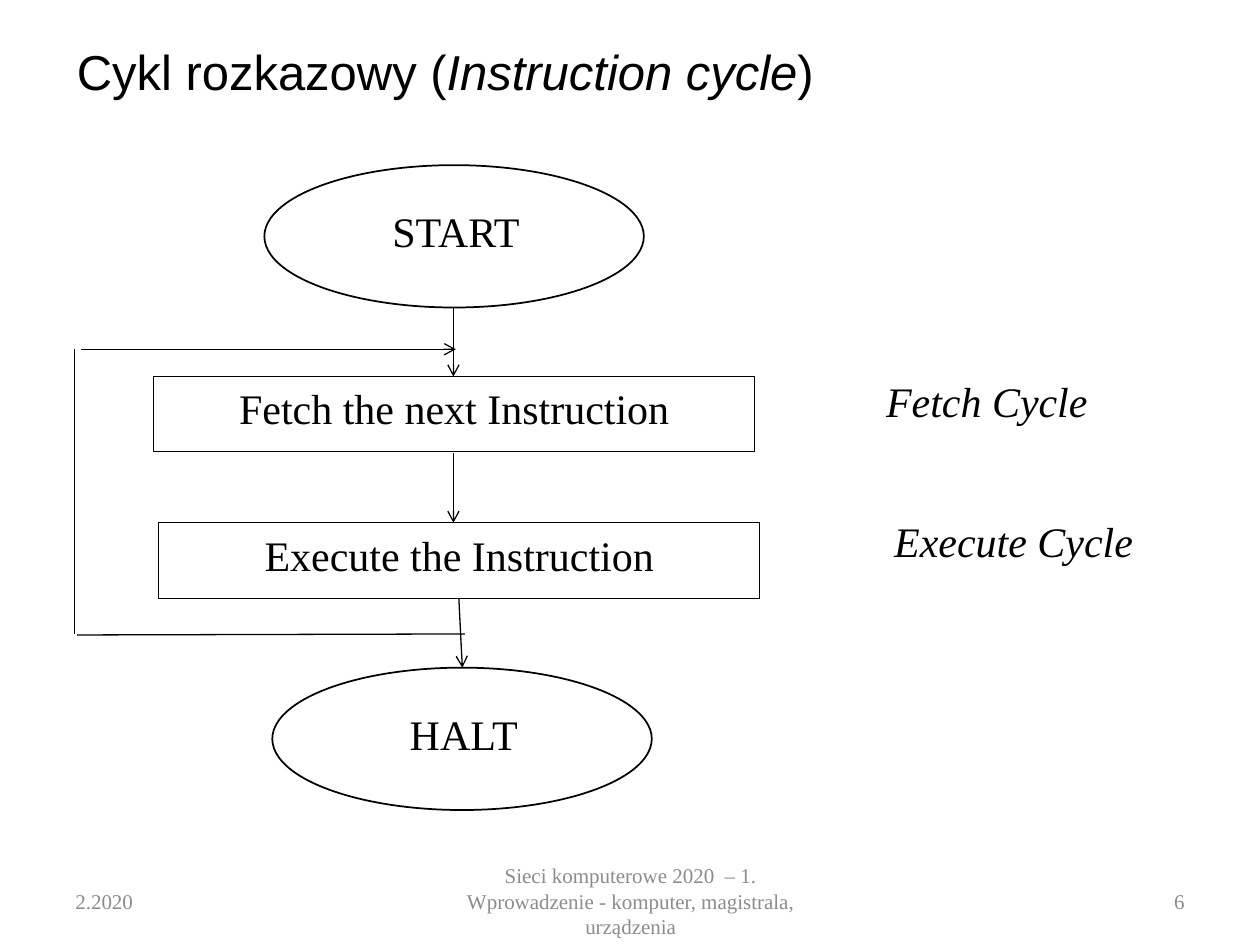
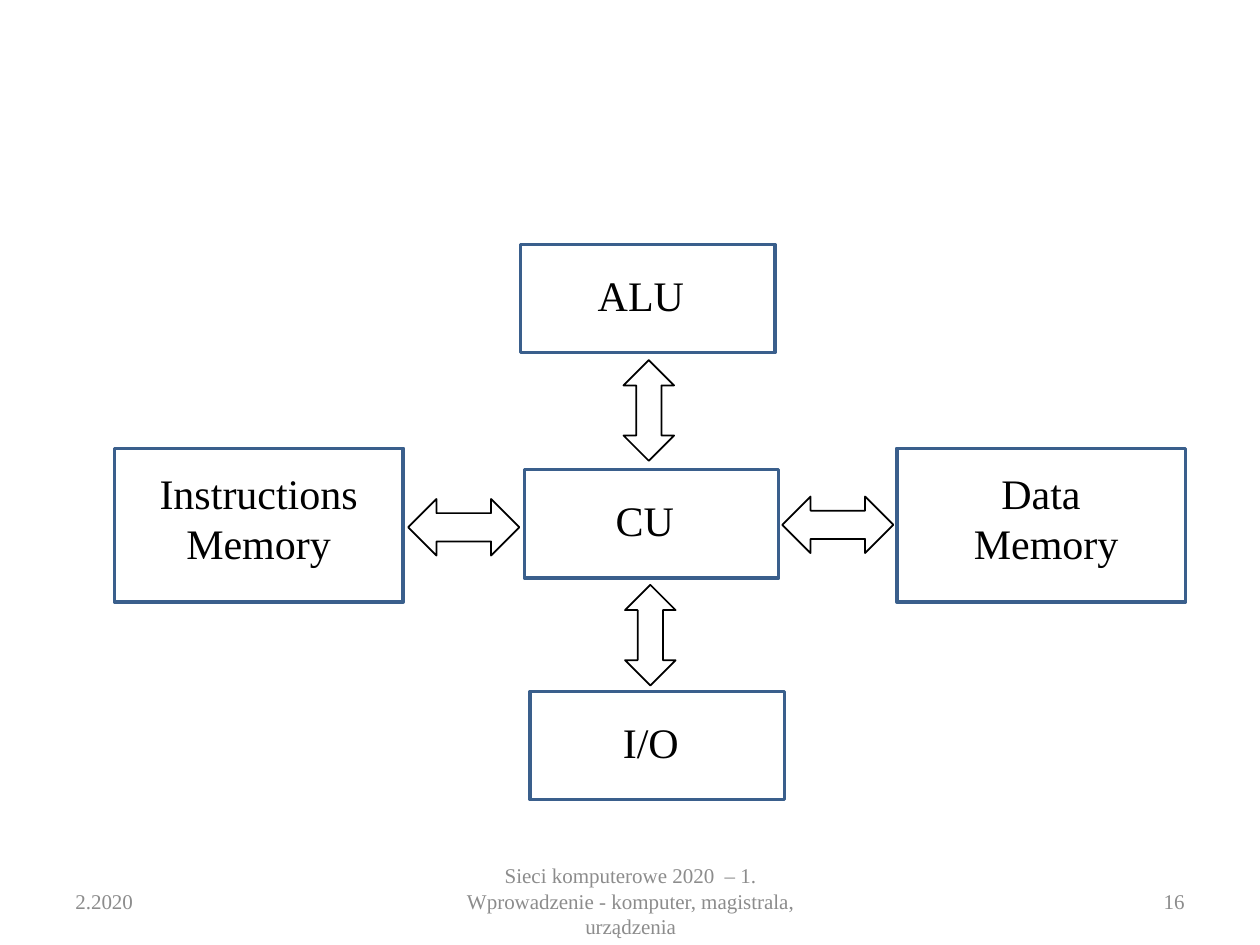
from pptx import Presentation
from pptx.dml.color import RGBColor
from pptx.enum.shapes import MSO_CONNECTOR, MSO_SHAPE
from pptx.enum.text import MSO_ANCHOR, PP_ALIGN
from pptx.oxml.ns import qn
from pptx.util import Cm, Pt
from lxml.etree import SubElement

HUES = {"ink": "000000", "paper": "FFFFFF", "frame": "3A5F8C", "foot": "8C8C8C"}
SERIF, SANS = "Times New Roman", "Arial"
FOOT = "Sieci komputerowe 2020  – 1. Wprowadzenie - komputer, magistrala, urządzenia"


def hue(name):
    """Return the named colour."""
    return RGBColor.from_string(HUES[name])


def write(shape, text, size=24, font=SERIF, color="ink",
          align=PP_ALIGN.CENTER, anchor=MSO_ANCHOR.TOP):
    """Fill a shape with text; lines split at newlines, italics sit between asterisks."""
    frame = shape.text_frame
    frame.word_wrap = True
    frame.vertical_anchor = anchor
    for row, line in enumerate(text.split("\n")):
        para = frame.paragraphs[0] if row == 0 else frame.add_paragraph()
        para.alignment = align
        for spot, part in enumerate(line.split("*")):
            if part:
                run = para.add_run()
                run.text = part
                run.font.size, run.font.name = Pt(size), font
                run.font.italic = spot % 2 == 1
                run.font.color.rgb = hue(color)


def note(slide, box, text, **form):
    """Add a text box centred vertically."""
    area = slide.shapes.add_textbox(*map(Cm, box))
    write(area, text, anchor=MSO_ANCHOR.MIDDLE, **form)


def draw(slide, kind, box, fill=None, line=None, width=1):
    """Add a flat preset shape."""
    shape = slide.shapes.add_shape(kind, *map(Cm, box))
    shape.shadow.inherit = False
    if fill:
        shape.fill.solid()
        shape.fill.fore_color.rgb = hue(fill)
    else:
        shape.fill.background()
    if line:
        shape.line.color.rgb = hue(line)
        shape.line.width = Pt(width)
    else:
        shape.line.fill.background()
    return shape


def label(slide, box, text, **form):
    """Add a white rectangle with centred text."""
    write(draw(slide, MSO_SHAPE.RECTANGLE, box, fill="paper", **form), text)


def node(slide, kind, box, inset, size, text, **form):
    """Add an outline with a label inset in it."""
    draw(slide, kind, box, **form)
    label(slide, (box[0] + inset[0], box[1] + inset[1], *size), text)


def link(slide, ends, head=False):
    """Add a thin line, with an open arrowhead on request."""
    line = slide.shapes.add_connector(MSO_CONNECTOR.STRAIGHT, *map(Cm, ends))
    line.line.color.rgb = hue("ink")
    line.line.width = Pt(0.75)
    if head:
        SubElement(line.line._get_or_add_ln(), qn("a:tailEnd"), type="arrow")
    SubElement(line._element.spPr, qn("a:effectLst"))


def foot(slide, x, y, page):
    """Place the date, course name and page number."""
    form = {"size": 12, "color": "foot"}
    note(slide, (x, y, 5.92, 1.02), "2.2020", align=PP_ALIGN.LEFT, **form)
    note(slide, (x + 7.42, y, 8.05, 1.02), FOOT, **form)
    note(slide, (x + 16.94, y, 5.92, 1.02), page, align=PP_ALIGN.RIGHT, **form)


def flow(slide, x, y):
    """Place the flow chart of the instruction cycle."""
    for left, top, text in ((3.83, 0, "START"), (3.99, 10.13, "HALT")):
        node(slide, MSO_SHAPE.OVAL, (x + left, y + top, 7.65, 2.87),
             (1.22, 0.69), (5.28, 1.4), text, line="ink")
    for left, top, text in ((1.6, 4.26, "Fetch the next Instruction"),
                            (1.7, 7.21, "Execute the Instruction")):
        label(slide, (x + left, y + top, 12.12, 1.52), text, line="ink", width=0.5)
    for left, top, end, low, head in (
            (7.64, 2.87, 7.64, 4.26, True),
            (7.64, 5.81, 7.64, 7.21, True),
            (7.75, 8.74, 7.82, 10.13, True),
            (7.87, 9.45, 0.05, 9.47, False),
            (0, 9.45, 0, 3.71, False),
            (0.13, 3.71, 7.69, 3.71, True)):
        link(slide, (x + left, y + top, x + end, y + low), head)
    for left, top, text in ((14.93, 4.11, "*Fetch Cycle*"),
                            (15.47, 6.93, "*Execute Cycle*")):
        label(slide, (x + left, y + top, 6.93, 1.47), text)


def units(slide, x, y):
    """Place the control unit, its neighbours and the arrows between."""
    form = {"line": "frame", "width": 2}
    for left, top, text in ((8.18, 0, "ALU"), (8.26, 4.54, "CU"), (8.38, 9.01, "I/O")):
        node(slide, MSO_SHAPE.RECTANGLE, (x + left, y + top, 5.13, 2.18),
             (0.88, 0.38), (3.1, 1.68), text, **form)
    for left, text in ((0, "Instructions Memory"), (15.77, "Data\n Memory")):
        node(slide, MSO_SHAPE.RECTANGLE, (x + left, y + 4.11, 5.82, 3.1),
             (0.52, 0.25), (4.77, 2.72), text, **form)
    for left, top in ((5.92, 5.13), (13.46, 5.08)):
        draw(slide, MSO_SHAPE.LEFT_RIGHT_ARROW, (x + left, y + top, 2.24, 1.14), line="ink")
    for left, top in ((10.26, 2.33), (10.29, 6.86)):
        draw(slide, MSO_SHAPE.UP_DOWN_ARROW, (x + left, y + top, 1.02, 2.03), line="ink")


def main():
    """Build and save both slides."""
    deck = Presentation()
    deck.slide_width, deck.slide_height = Cm(25.4), Cm(19.05)
    for page, body, x, y, title in (
            ("6", flow, 1.5, 3.33, "Cykl rozkazowy (*Instruction cycle*)"),
            ("16", units, 2.31, 4.93, None)):
        slide = deck.slides.add_slide(deck.slide_layouts[6])
        if title:
            note(slide, (1.3, 0.53, 22.86, 1.8), title,
                 size=28, font=SANS, align=PP_ALIGN.LEFT)
        body(slide, x, y)
        foot(slide, 1.27, 17.65, page)
    deck.save("out.pptx")


main()
